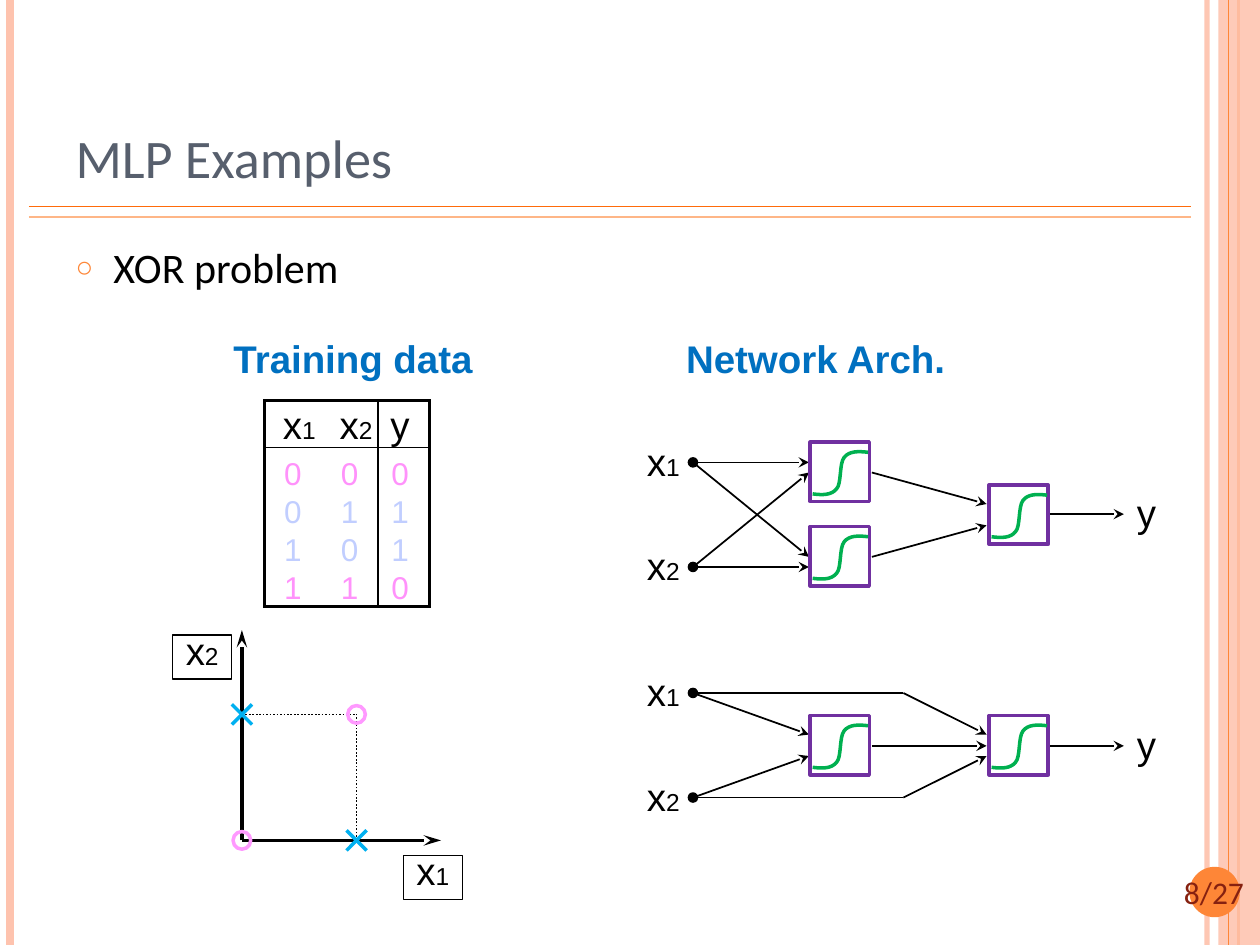
from pptx import Presentation
from pptx.dml.color import RGBColor
from pptx.enum.dml import MSO_LINE
from pptx.enum.shapes import MSO_CONNECTOR, MSO_SHAPE
from pptx.enum.text import MSO_ANCHOR, MSO_AUTO_SIZE, PP_ALIGN
from pptx.oxml.ns import qn
from pptx.util import Inches, Pt
from lxml.etree import SubElement

BLACK = RGBColor(0, 0, 0)
SLATE = RGBColor(0x57, 0x5F, 0x6D)
PEACH = RGBColor(0xFE, 0xC3, 0xAE)
ORANGE = RGBColor(0xFE, 0x86, 0x37)
DEEP = RGBColor(0xFF, 0x6B, 0x0A)
LIGHT = RGBColor(0xFE, 0xB6, 0x87)
BROWN = RGBColor(0x86, 0x21, 0x10)
BLUE = RGBColor(0x00, 0x70, 0xC0)
SKY = RGBColor(0x00, 0xB0, 0xF0)
PINK = RGBColor(0xFF, 0x99, 0xFF)
ROSE = RGBColor(0xFF, 0x92, 0xFB)
PALE = RGBColor(0xC1, 0xCE, 0xFF)
PURPLE = RGBColor(0x70, 0x30, 0xA0)
GREEN = RGBColor(0x00, 0xB0, 0x50)

# Content
TITLE = "MLP Examples"
TOPIC = "XOR problem"
PAGE = "8/27"
HEADS = [("Training data", 1.72, 2.13), ("Network Arch.", 5.31, 2.29)]
TRUTH = [("x1", "x2", "y"), ("0", "0", "0"), ("0", "1", "1"),
         ("1", "0", "1"), ("1", "1", "0")]
COLS = [0.45, 0.45, 0.41]
ROWS = [0.37, 0.36, 0.3, 0.3, 0.3]

# Frame lines: from, to, colour, width, opacity
BACK = [((9.58, 0), (9.58, 7.5), PEACH, 3, 93),
        ((0.08, 0), (0.08, 7.5), PEACH, 4.5, 100),
        ((9.83, 0), (9.83, 7.5), ORANGE, 1.5, 100)]
FRONT = [((9.75, 0), (9.75, 7.5), ORANGE, 0.75, 100),
         ((0.23, 1.64), (9.45, 1.64), DEEP, 1, 100),
         ((0.23, 1.72), (9.45, 1.72), LIGHT, 1, 100)]

# Networks: y of the inputs and output, unit corners, arrows, plain wires
NETS = [
    {"ins": (3.67, 4.5), "out": 4.08,
     "units": [(6.43, 3.51), (6.43, 4.18), (7.85, 3.85)],
     "arrows": [((5.5, 3.67), (6.42, 3.67)), ((5.5, 3.67), (6.42, 4.42)),
                ((5.5, 4.5), (6.42, 4.5)), ((5.5, 4.5), (6.42, 3.75)),
                ((6.92, 3.75), (7.83, 4)), ((6.92, 4.42), (7.83, 4.17))],
     "wires": []},
    {"ins": (5.5, 6.33), "out": 5.92,
     "units": [(6.43, 5.68), (7.85, 5.68)],
     "arrows": [((5.5, 5.5), (6.42, 5.83)), ((5.5, 6.33), (6.42, 6)),
                ((6.92, 5.92), (7.83, 5.92)), ((7.17, 5.5), (7.83, 5.83)),
                ((7.17, 6.33), (7.83, 6))],
     "wires": [((5.5, 5.5), (7.17, 5.5)), ((5.5, 6.33), (7.17, 6.33))]},
]
UNIT = 0.47
# Sigmoid: start, then three points per Bezier piece, from the unit's corner
CURVE = [(0.02, 0.41), (0.1, 0.42), (0.17, 0.42), (0.21, 0.37),
         (0.25, 0.33), (0.23, 0.17), (0.27, 0.12),
         (0.31, 0.07), (0.38, 0.07), (0.46, 0.08)]

prs = Presentation()
prs.slide_width, prs.slide_height = Inches(10), Inches(7.5)
slide = prs.slides.add_slide(prs.slide_layouts[1])
shapes = slide.shapes


def fade(part, pct):
    if pct < 100:
        tint = next(part.iter(qn("a:srgbClr")))
        SubElement(tint, qn("a:alpha"), val=str(pct * 1000))


def line(start, end, color=BLACK, width=1, pct=100, arrow=None, dots=False):
    """Arrow, if given, is the length of the head: med or lg."""
    wire = shapes.add_connector(MSO_CONNECTOR.STRAIGHT,
                                *map(Inches, start + end))
    wire.line.color.rgb = color
    wire.line.width = Pt(width)
    if dots:
        wire.line.dash_style = MSO_LINE.ROUND_DOT
    props = wire._element.spPr
    fade(props, pct)
    if arrow:
        SubElement(props.find(qn("a:ln")), qn("a:tailEnd"),
                   type="stealth", len=arrow)
    SubElement(props, qn("a:effectLst"))


def paint(shape, fill=None, edge=None, width=1):
    shape.shadow.inherit = False
    for part, color in ((shape.fill, fill), (shape.line.fill, edge)):
        if color is None:
            part.background()
        else:
            part.solid()
            part.fore_color.rgb = color
    if edge is not None:
        shape.line.width = Pt(width)
    return shape


def block(kind, box, **look):
    return paint(shapes.add_shape(kind, *map(Inches, box)), **look)


def ring(x, y, size, **look):
    block(MSO_SHAPE.OVAL, (x - size / 2, y - size / 2, size, size), **look)


def write(par, text, size, color, font="Arial", bold=False):
    run = par.add_run()
    run.text = text
    face = run.font
    face.name, face.size, face.bold = font, Pt(size), bold
    face.color.rgb = color


def symbol(par, text):
    """Letter at full size, its index smaller."""
    par.alignment = PP_ALIGN.CENTER
    write(par, text[0], 22, BLACK)
    if text[1:]:
        write(par, text[1:], 14, BLACK)


def label(box):
    text = shapes.add_textbox(*map(Inches, box))
    text.text_frame.word_wrap = False
    return text


def name(text, x, y, wide=0.47, edge=None):
    tag = paint(label((x, y, wide, 0.35)), edge=edge, width=0.75)
    par = tag.text_frame.paragraphs[0]
    par.line_spacing = 0.65
    symbol(par, text)


def unit(x, y):
    block(MSO_SHAPE.RECTANGLE, (x, y, UNIT, UNIT), edge=PURPLE, width=2)
    dots = [(Inches(x + u), Inches(y + v)) for u, v in CURVE]
    form = shapes.build_freeform(*dots[0])
    form.add_line_segments(dots[1:], close=False)
    curve = paint(form.convert_to_shape(), edge=GREEN, width=2)
    # Turn each three line points into one Bezier piece
    trace = next(curve._element.iter(qn("a:path")))
    steps = trace.findall(qn("a:lnTo"))
    for i in range(0, len(steps), 3):
        piece = SubElement(trace, qn("a:cubicBezTo"))
        for step in steps[i:i + 3]:
            piece.append(step[0])
            trace.remove(step)


# Frame and page number
for row in BACK:
    line(*row)
band = block(MSO_SHAPE.RECTANGLE, (9.67, 0, 0.33, 7.5), fill=PEACH)
fade(band._element.spPr, 87)
for row in FRONT:
    line(*row)
block(MSO_SHAPE.OVAL, (9.44, 6.88, 0.4, 0.4), fill=ORANGE)
par = label((9.18, 6.88, 0.91, 0.4)).text_frame.paragraphs[0]
par.alignment = PP_ALIGN.CENTER
write(par, PAGE, 18, BROWN, "Calibri")

# Title and list
head, body = shapes.title, slide.placeholders[1]
for part, box in ((head, (0.5, 0.3, 8.64, 1.25)),
                  (body, (0.5, 1.87, 8.17, 5.21))):
    part.left, part.top, part.width, part.height = map(Inches, box)
    part.text_frame.auto_size = MSO_AUTO_SIZE.NONE
head.text_frame.vertical_anchor = MSO_ANCHOR.BOTTOM
par = head.text_frame.paragraphs[0]
par.alignment = PP_ALIGN.LEFT
write(par, TITLE, 31, SLATE, "Calibri")
par = body.text_frame.paragraphs[0]
par.space_before = Pt(0)
props = par._p.get_or_add_pPr()
props.set("marL", str(Inches(0.3)))
props.set("indent", str(Inches(-0.3)))
SubElement(SubElement(props, qn("a:buClr")), qn("a:srgbClr"), val=str(ORANGE))
SubElement(props, qn("a:buSzPct"), val="70000")
SubElement(props, qn("a:buChar"), char="○")
write(par, TOPIC, 24, BLACK, "Calibri")

for text, x, wide in HEADS:
    par = label((x, 2.61, wide, 0.47)).text_frame.paragraphs[0]
    par.alignment = PP_ALIGN.RIGHT
    write(par, text, 22, BLUE, bold=True)

# Truth table
grid = shapes.add_table(len(ROWS), len(COLS), Inches(2.1), Inches(3.18),
                        Inches(sum(COLS)), Inches(sum(ROWS))).table
grid.first_row = grid.horz_banding = False
for col, wide in zip(grid.columns, COLS):
    col.width = Inches(wide)
for r, (row, tall) in enumerate(zip(TRUTH, ROWS)):
    grid.rows[r].height = Inches(tall)
    for c, text in enumerate(row):
        cell = grid.cell(r, c)
        cell.margin_left = Inches(0.1 if r == 0 and c < 2 else 0)
        cell.margin_right = Inches(0.06 if c == 2 else 0)
        cell.margin_top = cell.margin_bottom = 0
        cell.vertical_anchor = MSO_ANCHOR.BOTTOM
        edges = {"L": 2 if c == 0 else c == 2, "R": 2 if c == 2 else c == 1,
                 "T": 2 if r == 0 else r == 1, "B": 2 if r == 4 else r == 0}
        for side, width in edges.items():
            rule = SubElement(cell._tc.get_or_add_tcPr(), qn("a:ln" + side),
                              w=str(Pt(int(width))))
            if width:
                ink = SubElement(rule, qn("a:solidFill"))
                SubElement(ink, qn("a:srgbClr"), val=str(BLACK))
            else:
                SubElement(rule, qn("a:noFill"))
        cell.fill.background()
        par = cell.text_frame.paragraphs[0]
        if r == 0:
            symbol(par, text)
        else:
            par.alignment = PP_ALIGN.CENTER
            write(par, text, 18, PALE if row[2] == "1" else ROSE)

# Plot of the four points
left, right, low, high = 1.92, 2.83, 6.67, 5.67
line((left, high), (right, high), dots=True)
line((right, low), (right, high), dots=True)
for tip in ((3.5, low), (left, 5)):
    line((left, low), tip, width=2, arrow="lg")
name("x1", 3.2, 6.79, edge=BLACK)
name("x2", 1.37, 5.04, edge=BLACK)
for x, y in ((right, low), (left, high)):
    for d in (0.08, -0.08):
        line((x - 0.08, y - d), (x + 0.08, y + d), SKY, 2)
for x, y in ((right, high), (left, low)):
    ring(x, y, 0.14, edge=PINK, width=2)

# Networks
for net in NETS:
    out = net["out"]
    for start, end in net["wires"]:
        line(start, end)
    for start, end in net["arrows"] + [((8.33, out), (8.92, out))]:
        line(start, end, arrow="med")
    for text, y in zip(("x1", "x2"), net["ins"]):
        name(text, 5.03, y - 0.13)
        ring(5.5, y, 0.07, fill=BLACK, edge=BLACK)
    name("y", 8.92, out - 0.13, 0.36)
    for x, y in net["units"]:
        unit(x, y)

prs.save("out.pptx")
